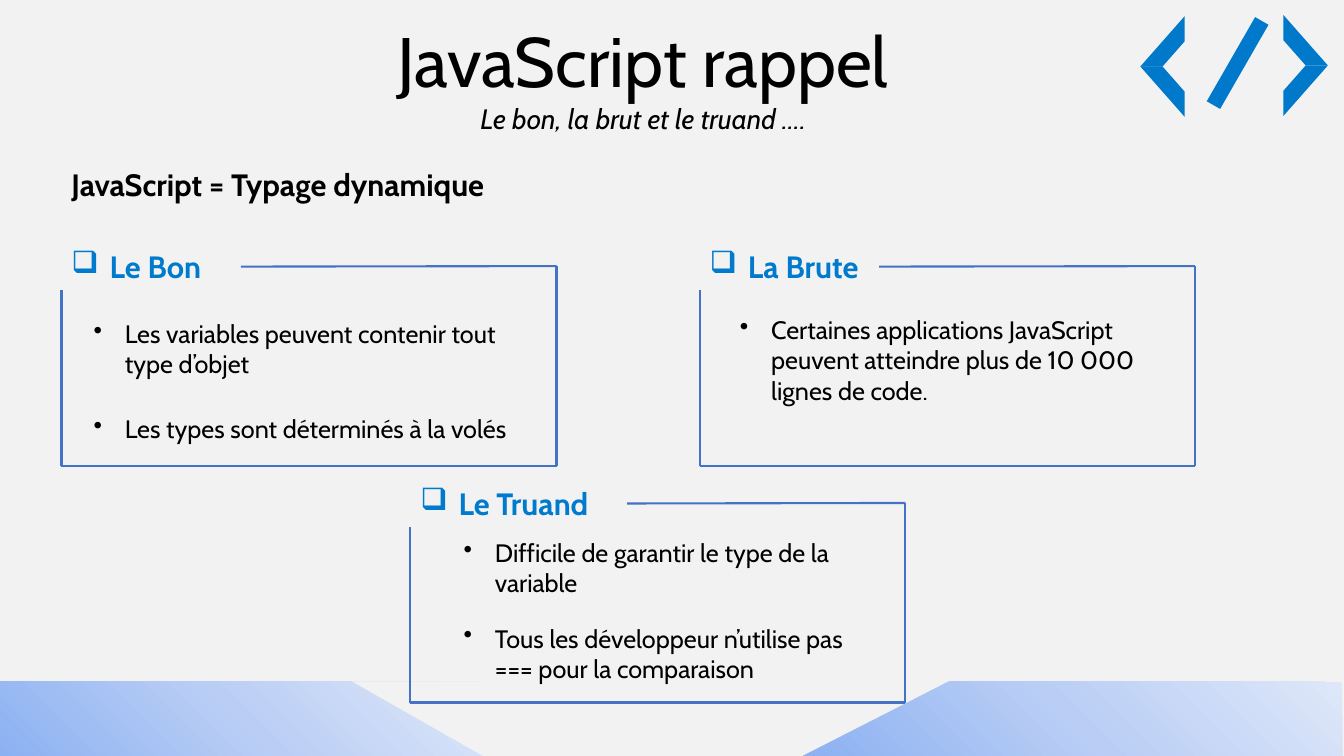
from lxml import etree
from pptx import Presentation
from pptx import util as u
from pptx.dml.color import RGBColor
from pptx.enum import shapes, text
from pptx.oxml import parse_xml
from pptx.oxml.ns import qn

NS = "http://schemas.openxmlformats.org/drawingml/2006/main"
FORM = shapes.MSO_SHAPE
GREY, BLUE, LINE = "F2F2F2", "007ACC", "4472C4"
GLOW = [(0, "8CB1F2"), (50, "BACEF5"), (100, "DEE7F9")]


def px(n):
    return u.Emu(n * 9144)


def rgb(code):
    return RGBColor.from_string(code)


class Deck:
    """Holds the style and the current slide, and draws each kind of element."""

    def __init__(self, font):
        self.font = font
        self.prs = Presentation()
        self.prs.slide_width, self.prs.slide_height = px(1333), px(750)
        self.slide = self.prs.slides.add_slide(self.prs.slide_layouts[6])
        fill = self.slide.background.fill
        fill.solid()
        fill.fore_color.rgb = rgb(GREY)

    def shape(self, form, box, color, rot=0, flip=None):
        item = self.slide.shapes.add_shape(form, *map(px, box))
        item.shadow.inherit = False
        item.line.fill.background()
        item.fill.solid()
        item.fill.fore_color.rgb = rgb(color)
        item.rotation = rot
        if flip:
            item._element.spPr.find(qn("a:xfrm")).set(flip, "1")
        return item

    def glow(self, box, rot, flip=None):
        item = self.shape(FORM.RECTANGLE, box, GLOW[0][1], rot, flip)
        stops = "".join(
            f'<a:gs pos="{pos * 1000}"><a:srgbClr val="{code}"/></a:gs>'
            for pos, code in GLOW)
        grad = parse_xml(
            f'<a:gradFill xmlns:a="{NS}" rotWithShape="1"><a:gsLst>{stops}</a:gsLst>'
            '<a:path path="circle"><a:fillToRect t="100000" r="100000"/></a:path>'
            '</a:gradFill>')
        props = item._element.spPr
        props.replace(props.find(qn("a:solidFill")), grad)

    def label(self, box, rows, align=None, mark=None, dent=0):
        item = self.slide.shapes.add_textbox(*map(px, box))
        frame = item.text_frame
        frame.word_wrap = True
        frame.auto_size = text.MSO_AUTO_SIZE.SHAPE_TO_FIT_TEXT
        for i, (words, size, color, bold, slant) in enumerate(rows):
            para = frame.add_paragraph() if i else frame.paragraphs[0]
            para.text = words
            para.alignment = align
            if mark:
                props = para._p.get_or_add_pPr()
                props.set("marL", str(px(dent)))
                props.set("indent", str(-px(dent)))
                etree.SubElement(props, qn("a:buChar")).set("char", mark)
            font = para.font
            font.name, font.size = self.font, u.Pt(size)
            font.bold, font.italic = bold, slant
            font.color.rgb = rgb(color)
        return item

    def point(self, box, words):
        self.label(box, [(words, 18, "000000", False, False)], mark="•", dent=31)

    def line(self, start, end):
        item = self.slide.shapes.add_connector(
            shapes.MSO_CONNECTOR.STRAIGHT, *map(px, (*start, *end)))
        item.line.color.rgb = rgb(LINE)
        item.line.width = u.Pt(1.5)
        etree.SubElement(item._element.spPr, qn("a:effectLst"))
        return item

    def panel(self, x, y, wide, title):
        head = self.label((x, y, wide, 47), [(title, 22, BLUE, True, False)],
                          mark="❑", dent=38)
        right, top, low = x + 491, y + 23, y + 221
        self.line((x, y + 47), (x, low))
        self.line((x, low), (right, low))
        self.line((right, low), (right, top))
        self.line((right, top), (x + wide, top)).end_connect(head, 3)


def main():
    deck = Deck("Cabin")
    deck.glow((1027, 446, 74, 535), 90, "flipH")
    deck.shape(FORM.RIGHT_TRIANGLE, (832, 640, 74, 145), GREY, 90)
    deck.glow((202, 473, 74, 480), 270)
    deck.shape(FORM.RIGHT_TRIANGLE, (377, 648, 74, 130), GREY, 270, "flipH")

    for x, y, rot, flip in [(1273, 65, 0, None), (1273, 15, 0, "flipV"),
                            (1131, 16, 180, None), (1131, 66, 180, "flipV")]:
        deck.shape(FORM.DIAGONAL_STRIPE, (x, y, 44, 50), "0079CB", rot, flip)
    deck.shape(FORM.MATH_MINUS, (1162, 30, 131, 65), "0079CC", 299.9)

    deck.label((131, 12, 1014, 128), [
        ("JavaScript rappel", 50, "000000", False, False),
        ("Le bon, la brut et le truand ….", 20, "000000", False, True),
    ], align=text.PP_ALIGN.CENTER)
    deck.label((61, 159, 1059, 47),
               [("JavaScript = Typage dynamique", 22, "000000", True, False)])

    for panel in [(61, 241, 178, "Le Bon"), (694, 241, 178, "La Brute"),
                  (407, 476, 215, "Le Truand")]:
        deck.panel(*panel)

    for box, words in [
        ((83, 311, 432, 71), "Les variables peuvent contenir tout type d’objet"),
        ((83, 405, 445, 40), "Les types sont déterminés à la volés"),
        ((724, 307, 432, 101), "Certaines applications JavaScript peuvent "
                               "atteindre plus de 10 000 lignes de code."),
        ((450, 528, 432, 71), "Difficile de garantir le type de la variable"),
        ((450, 613, 432, 71),
         "Tous les développeur n’utilise pas === pour la comparaison"),
    ]:
        deck.point(box, words)

    deck.prs.save("out.pptx")


if __name__ == "__main__":
    main()
